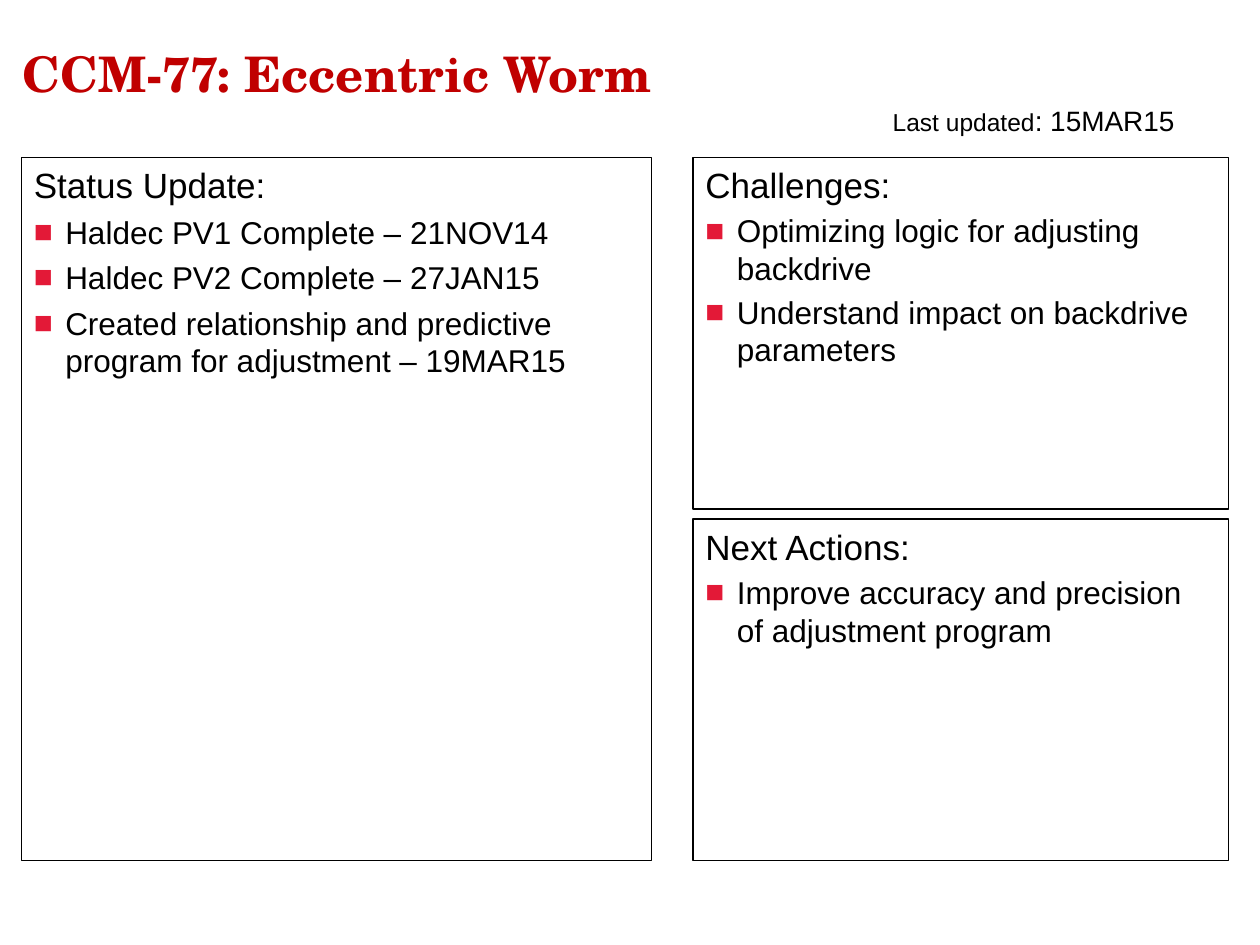
from dataclasses import dataclass

from lxml import etree
from pptx import Presentation
from pptx import util as u
from pptx.dml.color import RGBColor
from pptx.enum import shapes, text
from pptx.oxml import ns

BLACK = RGBColor(0x00, 0x00, 0x00)
TITLE_RED = RGBColor(0xC0, 0x00, 0x00)
BULLET_RED = RGBColor(0xE3, 0x19, 0x37)
BODY_FONT = "Arial"
TITLE_FONT = "TeX Gyre Schola"


@dataclass(frozen=True)
class Area:
    left: float
    top: float
    width: float
    height: float

    def lengths(self) -> tuple:
        return tuple(map(u.Inches, (self.left, self.top, self.width, self.height)))


@dataclass(frozen=True)
class Bullet:
    text: str
    space_before: float


@dataclass(frozen=True)
class Panel:
    area: Area
    heading: str
    hanging: float
    bullets: tuple[Bullet, ...]


PANELS = (
    Panel(Area(0.17, 1.25, 5, 5.58), "Status Update:", 0.27, (
        Bullet("Haldec PV1 Complete – 21NOV14", 4),
        Bullet("Haldec PV2 Complete – 27JAN15", 4),
        Bullet("Created relationship and predictive program for adjustment – 19MAR15", 4.8),
    )),
    Panel(Area(5.5, 1.25, 4.25, 2.79), "Challenges:", 0.3, (
        Bullet("Optimizing logic for adjusting backdrive", 3.2),
        Bullet("Understand impact on backdrive parameters", 3.2),
    )),
    Panel(Area(5.5, 4.12, 4.25, 2.71), "Next Actions:", 0.3, (
        Bullet("Improve accuracy and precision of adjustment program", 3.2),
    )),
)


def style(span, size: float, name: str = BODY_FONT, color: RGBColor = BLACK,
          bold: bool = False) -> None:
    span.font.size = u.Pt(size)
    span.font.name = name
    span.font.color.rgb = color
    span.font.bold = bold


def add_marker(para, hanging: float) -> None:
    properties = para._p.get_or_add_pPr()
    properties.set("marL", str(u.Inches(0.25)))
    properties.set("indent", str(-u.Inches(hanging)))
    color = etree.SubElement(properties, ns.qn("a:buClr"))
    etree.SubElement(color, ns.qn("a:srgbClr"), val=str(BULLET_RED))
    etree.SubElement(properties, ns.qn("a:buFont"), typeface=BODY_FONT)
    etree.SubElement(properties, ns.qn("a:buChar"), char="■")


def draw_panel(page, panel: Panel) -> None:
    box = page.shapes.add_shape(shapes.MSO_SHAPE.RECTANGLE, *panel.area.lengths())
    box.shadow.inherit = False
    box.fill.background()
    box.line.color.rgb = BLACK
    box.line.width = u.Pt(0.75)
    frame = box.text_frame
    frame.word_wrap = True
    frame.vertical_anchor = text.MSO_ANCHOR.TOP
    frame.text = panel.heading
    heading = frame.paragraphs[0]
    heading.alignment = text.PP_ALIGN.LEFT
    style(heading.runs[0], 20)
    for bullet in panel.bullets:
        para = frame.add_paragraph()
        para.text = bullet.text
        para.alignment = text.PP_ALIGN.LEFT
        para.space_before = u.Pt(bullet.space_before)
        add_marker(para, panel.hanging)
        style(para.runs[0], 18)


def add_text_box(page, area: Area):
    box = page.shapes.add_textbox(*area.lengths())
    box.text_frame.word_wrap = True
    return box.text_frame


def draw_update_date(page) -> None:
    para = add_text_box(page, Area(5.42, 0.77, 4, 0.4)).paragraphs[0]
    para.alignment = text.PP_ALIGN.RIGHT
    for words, size in (("Last updated", 14), (": 15MAR15", 16)):
        span = para.add_run()
        span.text = words
        style(span, size)


def draw_title(page) -> None:
    frame = add_text_box(page, Area(0.08, 0.08, 6.67, 1))
    frame.vertical_anchor = text.MSO_ANCHOR.MIDDLE
    frame.text = "CCM-77: Eccentric Worm"
    style(frame.paragraphs[0].runs[0], 28, TITLE_FONT, TITLE_RED, bold=True)


def main() -> None:
    deck = Presentation()
    deck.slide_width = u.Inches(10)
    deck.slide_height = u.Inches(7.5)
    page = deck.slides.add_slide(deck.slide_layouts[6])
    for panel in PANELS:
        draw_panel(page, panel)
    draw_update_date(page)
    draw_title(page)
    deck.save("out.pptx")


if __name__ == "__main__":
    main()
